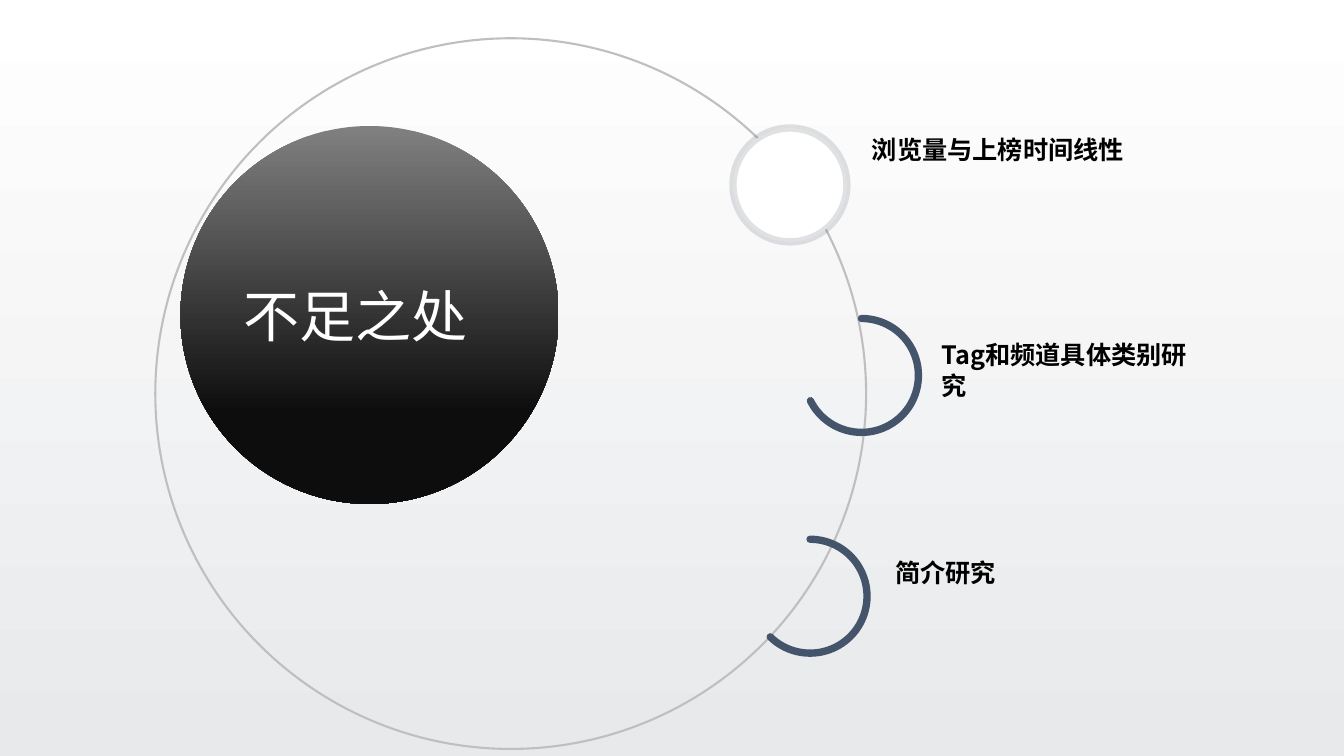
from dataclasses import dataclass

from lxml.etree import SubElement
from pptx import Presentation
from pptx.dml.color import RGBColor
from pptx.dml.fill import FillFormat
from pptx.enum.shapes import MSO_SHAPE
from pptx.enum.text import MSO_ANCHOR, MSO_AUTO_SIZE, PP_ALIGN
from pptx.oxml.ns import qn
from pptx.shapes.autoshape import Shape
from pptx.slide import Slide
from pptx.text.text import TextFrame
from pptx.util import Inches, Pt

FONT = "Noto Sans CJK SC"
WHITE = RGBColor(0xFF, 0xFF, 0xFF)
BLACK = RGBColor(0, 0, 0)
MIST = RGBColor(0xE8, 0xE9, 0xEB)
GREY = RGBColor(0x80, 0x80, 0x80)
COAL = RGBColor(0x0D, 0x0D, 0x0D)
SILVER = RGBColor(0xBF, 0xBF, 0xBF)
NAVY = RGBColor(0x44, 0x54, 0x6A)
SLATE = RGBColor(0x43, 0x4F, 0x5A)
RING_SIZE = 1.13
RING_WIDTH = 5.25


@dataclass
class Arc:
    left: float
    top: float
    end: float


@dataclass
class Label:
    text: str
    left: float
    top: float
    width: float
    height: float


ARCS = [Arc(7.98, 3.16, 92.18), Arc(7.47, 5.35, 80.64)]
LABELS = [
    Label("浏览量与上榜时间线性", 8.55, 1.28, 2.73, 0.4),
    Label("Tag和频道具体类别研究", 9.24, 3.32, 2.87, 0.7),
    Label("简介研究", 8.78, 5.48, 1.21, 0.4),
]


def fade_down(fill: FillFormat, top: RGBColor, bottom: RGBColor, end: float) -> None:
    fill.gradient()
    fill.gradient_angle = 270
    for stop, color, position in zip(fill.gradient_stops, (top, bottom), (0, end)):
        stop.color.rgb = color
        stop.position = position


def add_round(page: Slide, kind: MSO_SHAPE, left: float, top: float, size: float) -> Shape:
    shape = page.shapes.add_shape(kind, Inches(left), Inches(top), Inches(size), Inches(size))
    shape.shadow.inherit = False
    shape.fill.background()
    shape.line.fill.background()
    return shape


def set_line(shape: Shape, color: RGBColor, width: float) -> None:
    shape.line.color.rgb = color
    shape.line.width = Pt(width)


def write(frame: TextFrame, text: str, size: float, color: RGBColor, bold: bool, align: PP_ALIGN) -> None:
    frame.word_wrap = True
    frame.auto_size = MSO_AUTO_SIZE.SHAPE_TO_FIT_TEXT
    frame.vertical_anchor = MSO_ANCHOR.TOP
    para = frame.paragraphs[0]
    para.text = text
    para.alignment = align
    font = para.font
    font.name = FONT
    font.size = Pt(size)
    font.bold = bold
    font.color.rgb = color
    properties = para.runs[0].font
    properties.name = FONT
    span = para.runs[0]._r.get_or_add_rPr()
    SubElement(span, qn("a:ea")).set("typeface", FONT)


def add_arc(page: Slide, arc: Arc) -> None:
    shape = add_round(page, MSO_SHAPE.ARC, arc.left, arc.top, RING_SIZE)
    shape.adjustments[0] = 162
    shape.adjustments[1] = arc.end
    set_line(shape, NAVY, RING_WIDTH)
    shape.line._ln.set("cap", "rnd")


def add_label(page: Slide, label: Label) -> None:
    box = page.shapes.add_textbox(
        Inches(label.left), Inches(label.top), Inches(label.width), Inches(label.height)
    )
    write(box.text_frame, label.text, 18, BLACK, True, PP_ALIGN.LEFT)


def add_title(page: Slide, disc: Shape) -> None:
    title = page.shapes.title
    title.left, title.top = Inches(2.05), Inches(2.74)
    title.width, title.height = Inches(2.96), Inches(0.77)
    write(title.text_frame, "不足之处", 40, WHITE, False, PP_ALIGN.CENTER)
    disc.element.addnext(title.element)


def main() -> None:
    deck = Presentation()
    deck.slide_width, deck.slide_height = Inches(13.33), Inches(7.5)
    page = deck.slides.add_slide(deck.slide_layouts[5])
    fade_down(page.background.fill, WHITE, MIST, 1)

    disc = add_round(page, MSO_SHAPE.OVAL, 1.79, 1.25, 3.75)
    fade_down(disc.fill, GREY, COAL, 0.76)
    add_title(page, disc)

    orbit = add_round(page, MSO_SHAPE.OVAL, 1.54, 0.38, 7.05)
    set_line(orbit, SILVER, 1.5)
    for arc in ARCS:
        add_arc(page, arc)

    ring = add_round(page, MSO_SHAPE.OVAL, 7.27, 1.27, RING_SIZE)
    ring.fill.solid()
    ring.fill.fore_color.rgb = WHITE
    set_line(ring, SLATE, RING_WIDTH)
    tint = ring.line._ln.find(".//" + qn("a:srgbClr"))
    SubElement(tint, qn("a:alpha")).set("val", "16000")

    for label in LABELS:
        add_label(page, label)
    deck.save("out.pptx")


if __name__ == "__main__":
    main()
